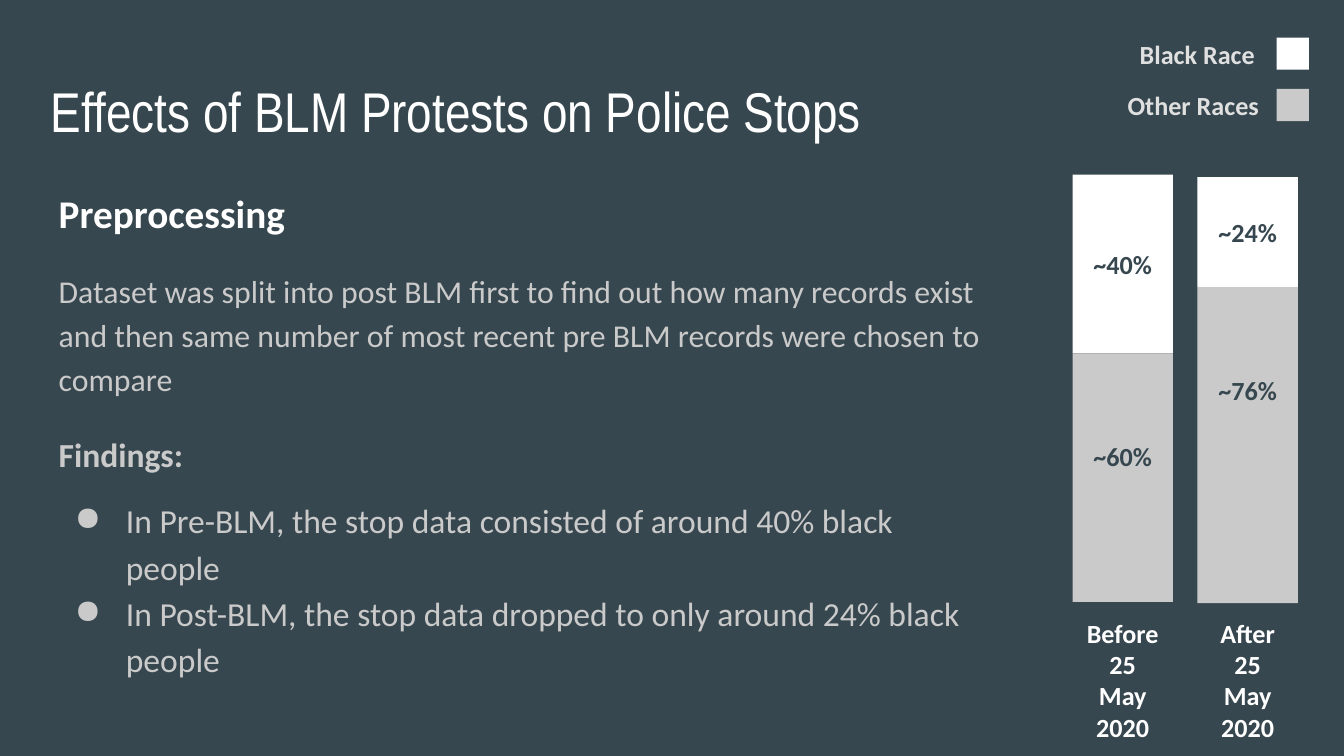
from lxml.etree import SubElement
from pptx import Presentation
from pptx.dml.color import RGBColor
from pptx.enum.shapes import MSO_SHAPE
from pptx.enum.text import MSO_ANCHOR, PP_ALIGN
from pptx.oxml.ns import qn
from pptx.util import Cm, Pt

COLORS = {
    "slate": "37474F",
    "white": "FFFFFF",
    "grey": "CACACA",
    "legend": "E0E0E0",
}


class StopsSlide:
    BODY_FONT = "Calibri"
    TITLE_FONT = "Arial Narrow"
    LABEL_SIZE = 14
    INSET = 0.25

    def __init__(self, slide):
        self.slide = slide
        background = slide.background.fill
        background.solid()
        background.fore_color.rgb = self.color("slate")

    @staticmethod
    def color(name):
        return RGBColor.from_string(COLORS[name])

    def frame(self, left, top, width, height, anchor=MSO_ANCHOR.TOP):
        box = self.slide.shapes.add_textbox(Cm(left), Cm(top), Cm(width), Cm(height))
        frame = box.text_frame
        frame.word_wrap = True
        frame.vertical_anchor = anchor
        frame.margin_left = frame.margin_right = Cm(self.INSET)
        frame.margin_top = frame.margin_bottom = Cm(self.INSET)
        return frame

    def run(self, paragraph, text, size, color, bold=False, font=BODY_FONT):
        run = paragraph.add_run()
        run.text = text
        run.font.name = font
        run.font.size = Pt(size)
        run.font.bold = bold
        run.font.color.rgb = self.color(color)

    def title(self, text, left, top, width, height):
        heading = self.frame(left, top, width, height).paragraphs[0]
        self.run(heading, text, 30, "white", font=self.TITLE_FONT)

    def body(self, entries, left, top, width, height):
        """Each entry is (text, size, colour, bold, space before, bulleted)."""
        frame = self.frame(left, top, width, height)
        for index, (text, size, color, bold, gap, bulleted) in enumerate(entries):
            paragraph = frame.add_paragraph() if index else frame.paragraphs[0]
            paragraph.line_spacing = 1.15
            paragraph.space_before = Pt(gap)
            if bulleted:
                self.bullet(paragraph)
            self.run(paragraph, text, size, color, bold)

    def bullet(self, paragraph):
        properties = paragraph._p.get_or_add_pPr()
        properties.set("marL", str(Cm(1.27)))
        properties.set("indent", str(-Cm(0.97)))
        tint = SubElement(properties, qn("a:buClr"))
        SubElement(tint, qn("a:srgbClr"), val=COLORS["grey"])
        SubElement(properties, qn("a:buChar"), char="●")

    def label(self, text, left, middle, width, color, align=PP_ALIGN.CENTER):
        """Write bold text centred vertically on the height `middle`."""
        height = 0.86
        frame = self.frame(left, middle - height / 2, width, height, MSO_ANCHOR.MIDDLE)
        paragraph = frame.paragraphs[0]
        paragraph.alignment = align
        self.run(paragraph, text, self.LABEL_SIZE, color, bold=True)

    def rectangle(self, left, top, width, height, color):
        block = self.slide.shapes.add_shape(
            MSO_SHAPE.RECTANGLE, Cm(left), Cm(top), Cm(width), Cm(height))
        block.shadow.inherit = False
        block.fill.solid()
        block.fill.fore_color.rgb = self.color(color)
        block.line.fill.background()

    def legend_entry(self, text, left, top, width, color):
        side = 0.61
        self.label(text, left, top + side / 2, width, "legend", PP_ALIGN.LEFT)
        self.rectangle(24.13, top, side, side, color)

    def stacked_bar(self, caption, left, top, black, other):
        """Black and other are (height, share) of the two segments."""
        width = 1.9
        (black_height, black_share), (other_height, other_share) = black, other
        split = top + black_height
        self.rectangle(left, top, width, black_height, "white")
        self.label(black_share, left, top + black_height / 2, width, "slate")
        self.rectangle(left, split, width, other_height, "grey")
        self.label(other_share, left, split + 1.95, width, "slate")
        self.label(caption, left, 12.85, width, "white")


def main():
    deck = Presentation()
    deck.slide_width, deck.slide_height = Cm(25.4), Cm(14.29)
    page = StopsSlide(deck.slides.add_slide(deck.slide_layouts[6]))

    page.title("Effects of BLM Protests on Police Stops", 0.71, 1.19, 16.94, 1.6)
    page.body([
        ("Preprocessing", 21, "white", True, 0, False),
        ("Dataset was split into post BLM first to find out how many records exist "
         "and then same number of most recent pre BLM records were chosen to compare",
         17, "grey", False, 16, False),
        ("Findings:", 18, "grey", True, 16, False),
        ("In Pre-BLM, the stop data consisted of around 40% black people",
         18, "grey", False, 11, True),
        ("In Post-BLM, the stop data dropped to only around 24% black people",
         18, "grey", False, 0, True),
    ], 0.86, 3.2, 18.08, 9.5)

    page.legend_entry("Black Race", 21.29, 0.71, 2.84, "white")
    page.legend_entry("Other Races", 21.06, 1.68, 3.28, "grey")

    page.stacked_bar("Before 25 May 2020", 20.27, 3.3, (3.38, "~40%"), (4.7, "~60%"))
    page.stacked_bar("After 25 May 2020", 22.63, 3.35, (2.08, "~24%"), (5.97, "~76%"))

    deck.save("out.pptx")


if __name__ == "__main__":
    main()
